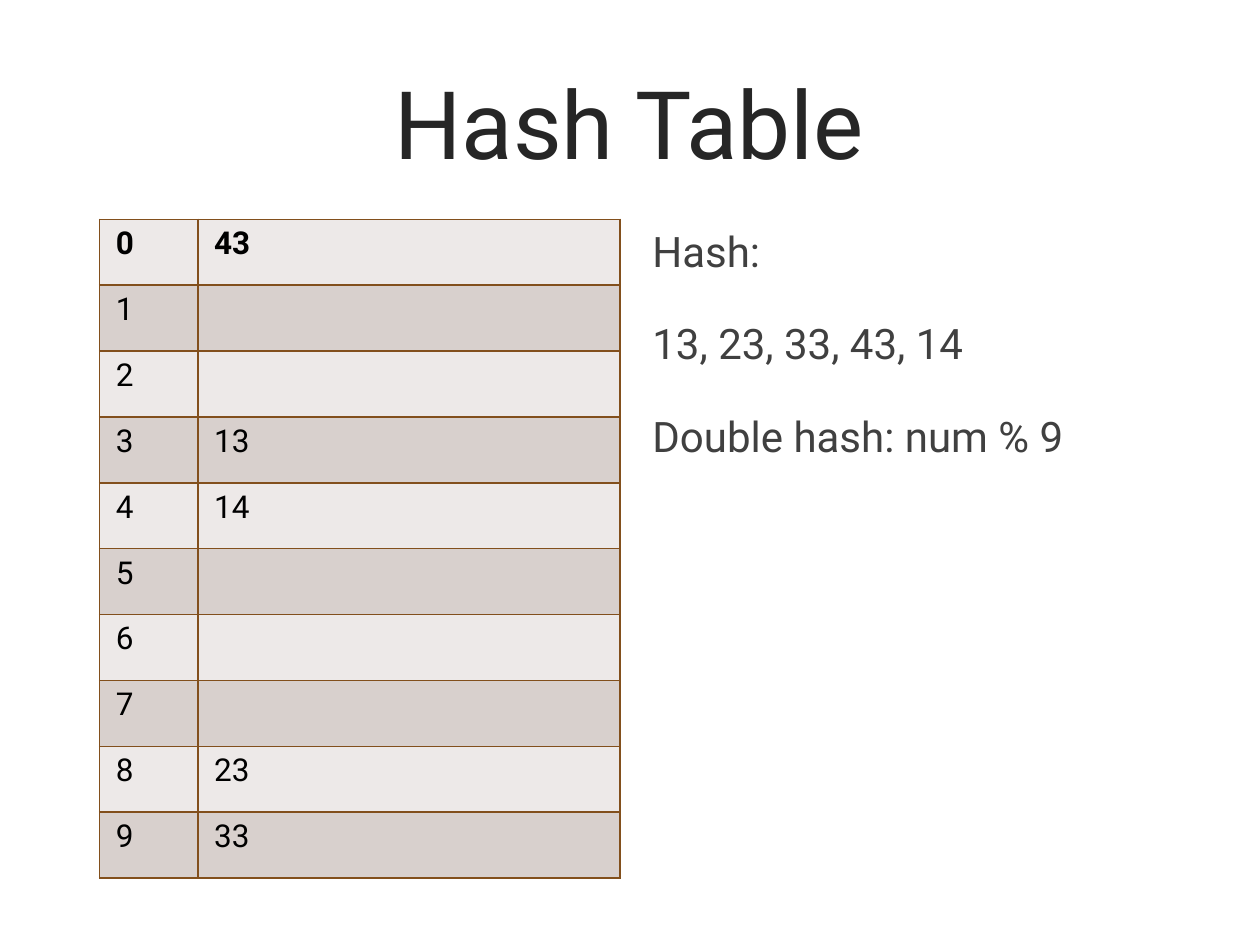
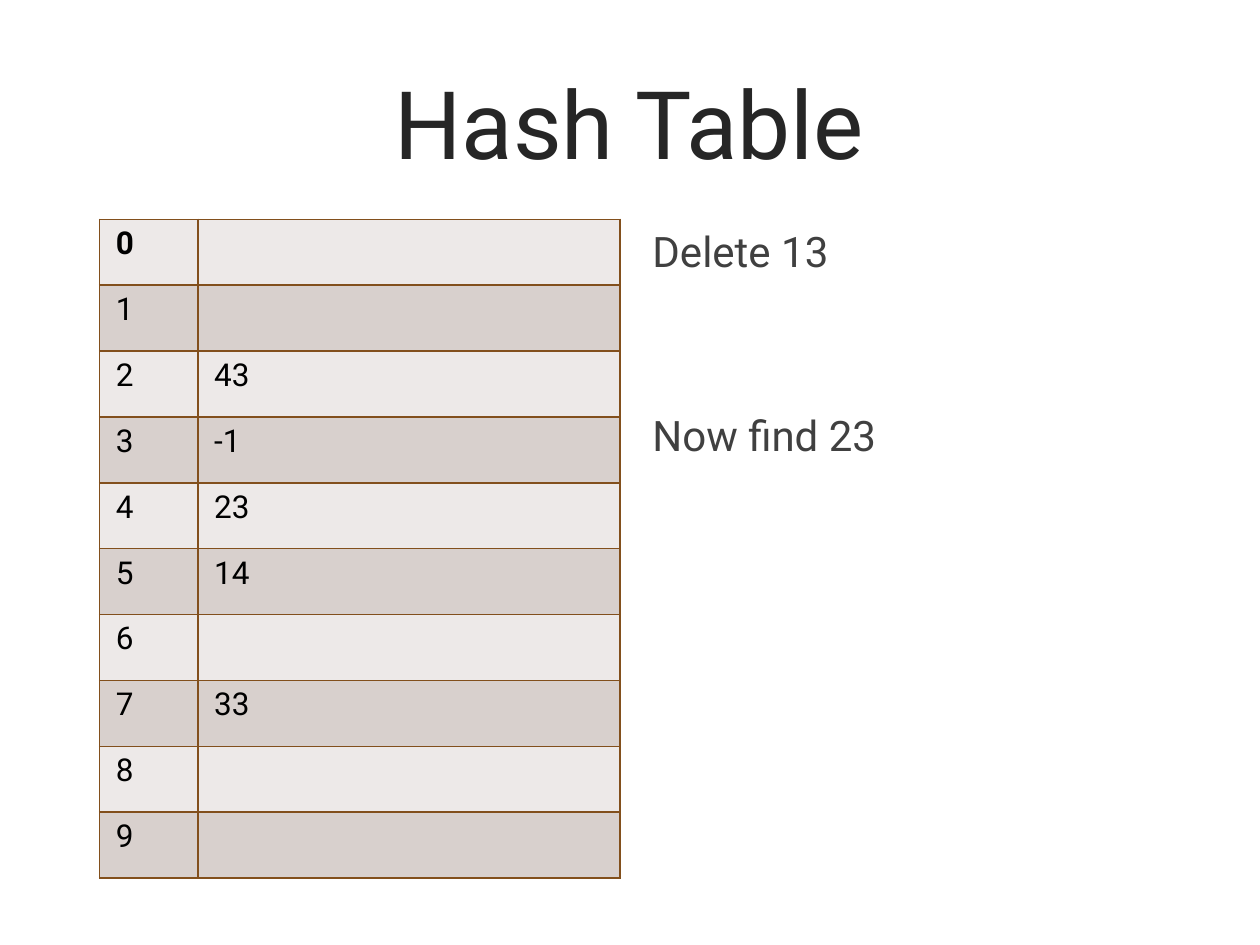
from lxml import etree
from pptx import Presentation, util as u
from pptx.dml.color import RGBColor
from pptx.enum import text
from pptx.oxml import ns

SLIDES = [
    {"slots": {0: "43", 3: "13", 4: "14", 8: "23", 9: "33"},
     "notes": [("Hash:", 24), ("13, 23, 33, 43, 14", 24), ("Double hash: num % 9", 24)]},
    {"slots": {2: "43", 3: "-1", 4: "23", 5: "14", 7: "33"},
     "notes": [("Delete 13", 24), ("Now find 23", 76.5)]},
]
TITLE = "Hash Table"
SIZE = 10
BANDS = ["EDE9E8", "D8D0CD"]
EDGE = "824F1C"
COLS = [0.78, 3.35]
LEFT, TOP, HIGH = 0.79, 1.74, 5.23
HEAD = {"size": u.Pt(54), "name": "Roboto", "bold": False, "color": "262626"}
NOTE = {"size": u.Pt(24), "name": "Roboto", "bold": False, "color": "404040"}
CELL = {"size": u.Pt(18), "name": "Roboto", "bold": False, "color": "000000"}
PADS = {"margin_left": u.Inches(0.13), "margin_right": u.Inches(0.13),
        "margin_top": u.Inches(0.05), "margin_bottom": u.Inches(0.05)}


def color(hue):
    return RGBColor.from_string(hue)


def apply(item, form):
    for key, val in form.items():
        setattr(item, key, val)


def style(font, form):
    for key, val in form.items():
        if key == "color":
            font.color.rgb = color(val)
        else:
            setattr(font, key, val)


def place(shape, left, top, wide, high):
    apply(shape, dict(zip(("left", "top", "width", "height"),
                          map(u.Inches, (left, top, wide, high)))))


def border(cell):
    props = cell._tc.get_or_add_tcPr()
    for spot, side in enumerate(("lnL", "lnR", "lnT", "lnB")):
        line = etree.Element(ns.qn("a:" + side), w=str(u.Pt(1)))
        fill = etree.SubElement(line, ns.qn("a:solidFill"))
        etree.SubElement(fill, ns.qn("a:srgbClr"), val=EDGE)
        props.insert(spot, line)


def add_title(slide):
    head = slide.shapes.title
    place(head, LEFT, 0.34, 8.41, 1.25)
    head.text_frame.text = TITLE
    apply(head.text_frame, {"vertical_anchor": text.MSO_ANCHOR.MIDDLE,
                            "auto_size": text.MSO_AUTO_SIZE.NONE})
    para = head.text_frame.paragraphs[0]
    para.alignment = text.PP_ALIGN.CENTER
    style(para.runs[0].font, HEAD)


def add_slots(slide, slots):
    box = [u.Inches(n) for n in (LEFT, TOP, sum(COLS), HIGH)]
    table = slide.shapes.add_table(SIZE, len(COLS), *box).table
    apply(table, {"first_row": True, "horz_banding": False})
    for col, wide in zip(table.columns, COLS):
        col.width = u.Inches(wide)
    for row in range(SIZE):
        table.rows[row].height = u.Inches(HIGH / SIZE)
        for col, word in enumerate((str(row), slots.get(row, ""))):
            cell = table.cell(row, col)
            cell.text = word
            apply(cell, PADS)
            style(cell.text_frame.paragraphs[0].font, CELL | {"bold": row == 0})
            for run in cell.text_frame.paragraphs[0].runs:
                style(run.font, CELL | {"bold": row == 0})
            cell.fill.solid()
            cell.fill.fore_color.rgb = color(BANDS[row % 2])
            border(cell)


def add_notes(slide, notes):
    box = [u.Inches(n) for n in (5.08, TOP, 4.13, 5.01)]
    frame = slide.shapes.add_textbox(*box).text_frame
    frame.word_wrap = True
    for spot, (word, gap) in enumerate(notes):
        para = frame.add_paragraph() if spot else frame.paragraphs[0]
        para.space_before = u.Pt(gap)
        run = para.add_run()
        run.text = word
        style(run.font, NOTE)


deck = Presentation()
apply(deck, {"slide_width": u.Inches(10), "slide_height": u.Inches(7.5)})
for page in SLIDES:
    slide = deck.slides.add_slide(deck.slide_layouts.get_by_name("Title Only"))
    add_title(slide)
    add_slots(slide, page["slots"])
    add_notes(slide, page["notes"])
deck.save("out.pptx")
